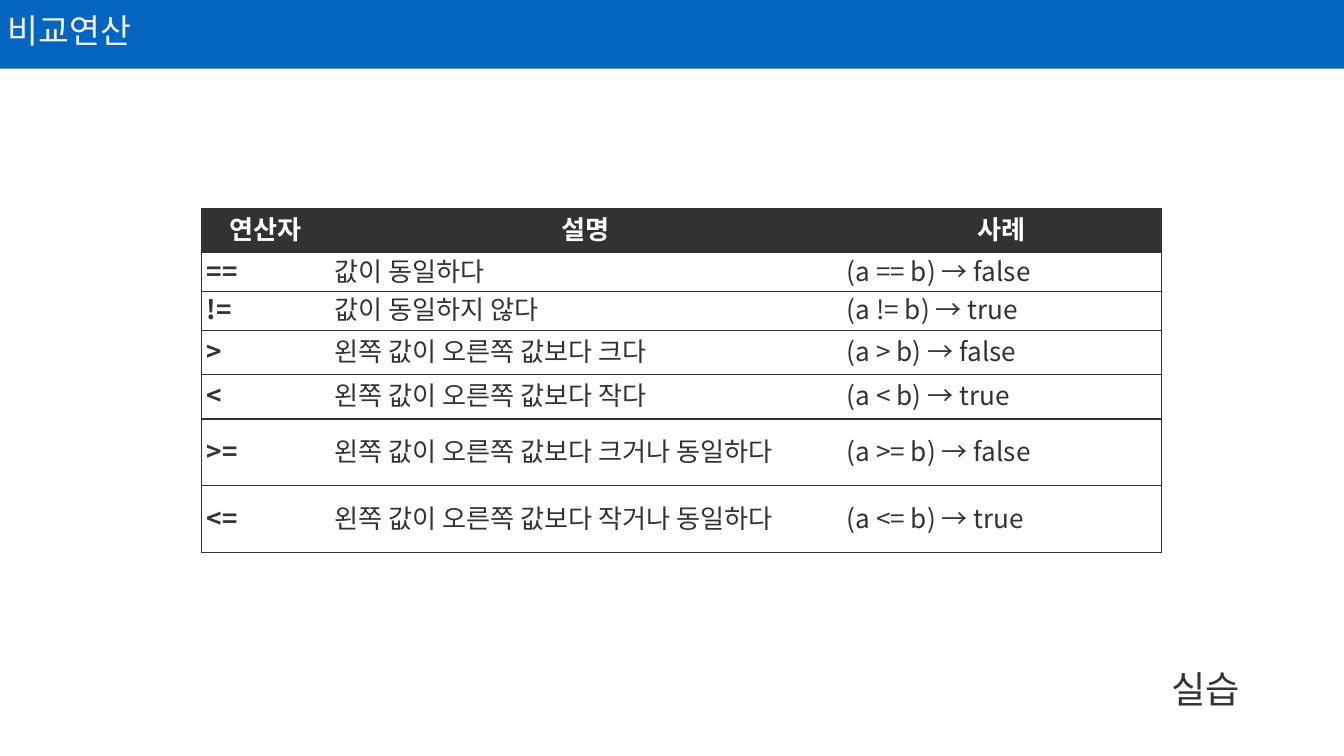
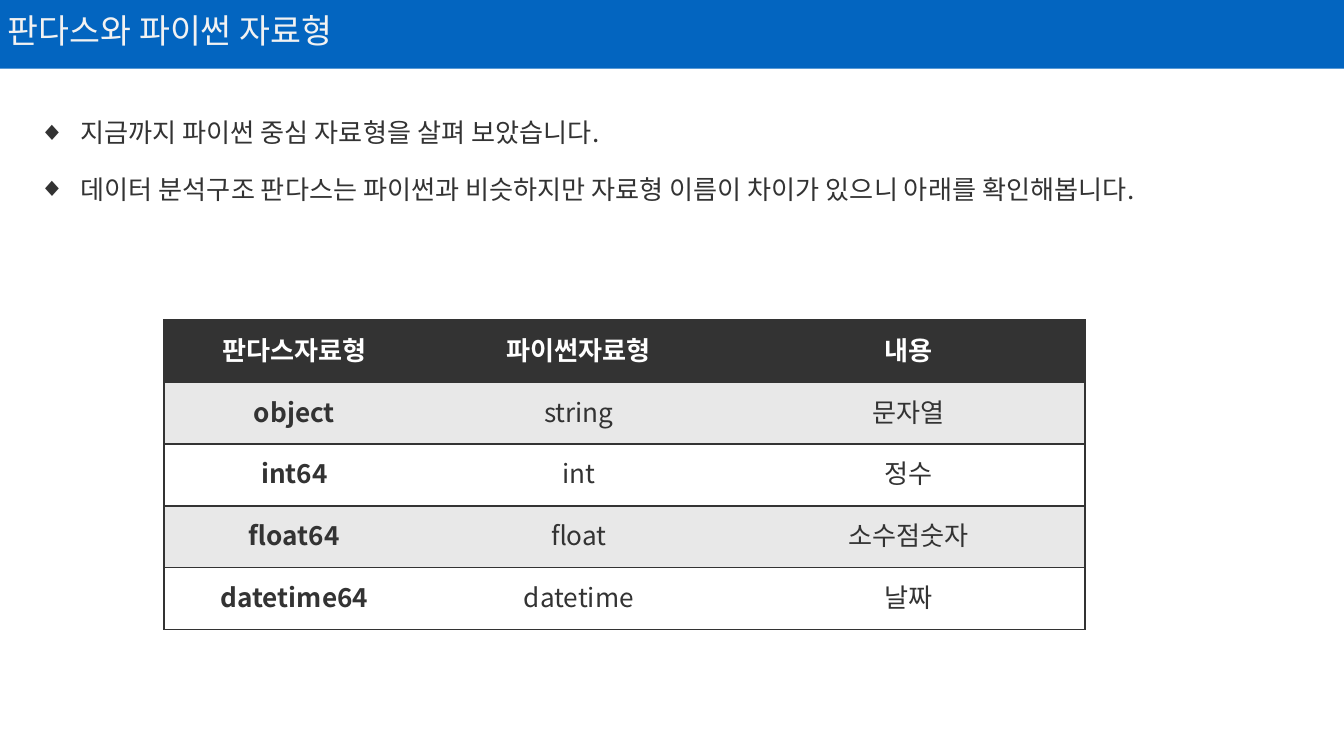
"""Build two slides on comparison operators and data types."""
from dataclasses import dataclass
from typing import Optional

from lxml import etree
from pptx import Presentation
from pptx.dml.color import RGBColor
from pptx.enum import shapes, text
from pptx.oxml.ns import qn
from pptx.util import Cm, Pt

ALIGN = text.PP_ALIGN


@dataclass(frozen=True)
class Theme:
    """Colours, font and type sizes of the deck."""
    font: str = "Noto Sans CJK KR"
    band: str = "0365C0"
    title: str = "F2F2F2"
    ink: str = "333333"
    header: str = "323232"
    white: str = "FFFFFF"
    stripe: str = "E8E8E8"
    title_size: float = 18
    body_size: float = 14
    note_size: float = 20


THEME = Theme()


@dataclass(frozen=True)
class Area:
    """A place on the page, in centimetres."""
    left: float
    top: float
    width: float
    height: float

    def lengths(self) -> tuple:
        """Return left, top, width and height as lengths."""
        return Cm(self.left), Cm(self.top), Cm(self.width), Cm(self.height)


@dataclass(frozen=True)
class Grid:
    """A table with a header row; sizes in centimetres, line in points."""
    left: float
    top: float
    columns: tuple
    heights: tuple
    rows: tuple
    align: ALIGN
    line: float
    line_color: str
    margin: float
    stripe: Optional[str] = None


PAGE_WIDTH, PAGE_HEIGHT = 25.4, 14.29
BAND = Area(0, 0, PAGE_WIDTH, 1.3)
TITLE = Area(0, 0.25, 14.38, 0.79)
BULLETS = Area(0.48, 1.78, 23.52, 2.11)
NOTE = Area(21.89, 12.04, 1.93, 1.37)
BULLET_INDENT = Cm(0.79)

OPERATORS = Grid(
    left=3.81, top=3.94, columns=(2.41, 9.68, 6.05),
    heights=(0.84, 0.73, 0.73, 0.84, 0.84, 1.26, 1.26),
    rows=(
        ("연산자", "설명", "사례"),
        ("==", "값이 동일하다", "(a == b) → false"),
        ("!=", "값이 동일하지 않다", "(a != b) → true"),
        (">", "왼쪽 값이 오른쪽 값보다 크다", "(a > b) → false"),
        ("<", "왼쪽 값이 오른쪽 값보다 작다", "(a < b) → true"),
        (">=", "왼쪽 값이 오른쪽 값보다 크거나 동일하다", "(a >= b) → false"),
        ("<=", "왼쪽 값이 오른쪽 값보다 작거나 동일하다", "(a <= b) → true"),
    ),
    align=ALIGN.JUSTIFY, line=0.75, line_color=THEME.header, margin=0.1)

DATA_TYPES = Grid(
    left=3.1, top=6.05, columns=(4.93, 5.82, 6.65), heights=(1.17,) * 5,
    rows=(
        ("판다스자료형", "파이썬자료형", "내용"),
        ("object", "string", "문자열"),
        ("int64", "int", "정수"),
        ("float64", "float", "소수점숫자"),
        ("datetime64", "datetime", "날짜"),
    ),
    align=ALIGN.CENTER, line=1, line_color=THEME.ink, margin=0.13,
    stripe=THEME.stripe)


def place(shape, area: Area) -> None:
    """Move and size a shape."""
    shape.left, shape.top, shape.width, shape.height = area.lengths()


def style_paragraph(para, size: float, color: str, align: ALIGN,
                    spacing: float, bold: bool = False) -> None:
    """Set font and layout of a whole paragraph."""
    para.alignment = align
    para.line_spacing = spacing
    font = para.font
    font.name, font.size, font.bold = THEME.font, Pt(size), bold
    font.color.rgb = RGBColor.from_string(color)
    defaults = para._p.pPr.find(qn("a:defRPr"))
    etree.SubElement(defaults, qn("a:ea"), typeface=THEME.font)


def add_bullet(para) -> None:
    """Give a paragraph a diamond bullet with a hanging indent."""
    props = para._p.pPr
    props.set("marL", str(BULLET_INDENT))
    props.set("indent", str(-BULLET_INDENT))
    bullet = etree.Element(qn("a:buChar"), char="◆")
    props.find(qn("a:defRPr")).addprevious(bullet)


def set_borders(cell, edges: str, width: float, color: str) -> None:
    """Draw the named cell edges (of L, R, T, B) and clear the others."""
    props = cell._tc.get_or_add_tcPr()
    for edge in "LRTB":
        line = etree.SubElement(props, qn(f"a:ln{edge}"), w=str(Pt(width)))
        if edge in edges:
            fill = etree.SubElement(line, qn("a:solidFill"))
            etree.SubElement(fill, qn("a:srgbClr"), val=color)
        else:
            etree.SubElement(line, qn("a:noFill"))


def fill_cell(cell, grid: Grid, row: int, column: int) -> None:
    """Write and format one table cell."""
    header = row == 0
    cell.text = grid.rows[row][column]
    cell.vertical_anchor = text.MSO_ANCHOR.MIDDLE
    cell.margin_left = cell.margin_right = Cm(grid.margin)
    cell.margin_top = cell.margin_bottom = 0
    style_paragraph(cell.text_frame.paragraphs[0], THEME.body_size,
                    THEME.white if header else THEME.ink,
                    ALIGN.CENTER if header else grid.align, 0.8,
                    bold=header or column == 0)

    edges = "TB"
    if column == 0:
        edges += "L"
    if column == len(grid.columns) - 1:
        edges += "R"
    set_borders(cell, edges, grid.line, grid.line_color)

    cell.fill.solid()
    if header:
        color = grid.line_color
    else:
        color = grid.stripe if grid.stripe and row % 2 else THEME.white
    cell.fill.fore_color.rgb = RGBColor.from_string(color)


def add_grid(page, grid: Grid) -> None:
    """Add a table to a page."""
    area = Area(grid.left, grid.top, sum(grid.columns), sum(grid.heights))
    table = page.shapes.add_table(len(grid.rows), len(grid.columns),
                                  *area.lengths()).table
    table.horz_banding = False
    for column, width in zip(table.columns, grid.columns):
        column.width = Cm(width)
    for row, height in zip(table.rows, grid.heights):
        row.height = Cm(height)
    for row in range(len(grid.rows)):
        for column in range(len(grid.columns)):
            fill_cell(table.cell(row, column), grid, row, column)


def add_page(deck, layout: str, title: str):
    """Add a page with its title and return it."""
    page = deck.slides.add_slide(deck.slide_layouts.get_by_name(layout))
    box = page.shapes.title
    place(box, TITLE)
    frame = box.text_frame
    frame.text = title
    frame.auto_size = text.MSO_AUTO_SIZE.NONE
    frame.vertical_anchor = text.MSO_ANCHOR.MIDDLE
    frame.margin_left = frame.margin_right = Cm(0.15)
    frame.margin_top = frame.margin_bottom = Cm(0.15)
    style_paragraph(frame.paragraphs[0], THEME.title_size, THEME.title,
                    ALIGN.LEFT, 0.8)
    return page


def add_master_band(deck, page) -> None:
    """Draw the title band and move it to the back of the slide master."""
    band = page.shapes.add_shape(shapes.MSO_SHAPE.RECTANGLE, *BAND.lengths())
    band.shadow.inherit = False
    band.fill.solid()
    band.fill.fore_color.rgb = RGBColor.from_string(THEME.band)
    band.line.fill.background()
    deck.slide_master.shapes.element.insert(2, band.element)


def add_note(page, words: str) -> None:
    """Add the short remark at the lower right."""
    frame = page.shapes.add_textbox(*NOTE.lengths()).text_frame
    frame.text = words
    frame.word_wrap = False
    frame.auto_size = text.MSO_AUTO_SIZE.SHAPE_TO_FIT_TEXT
    para = frame.paragraphs[0]
    style_paragraph(para, THEME.note_size, THEME.ink, ALIGN.JUSTIFY, 1.5)
    para.space_before = Pt(5)


def fill_bullets(page, lines: tuple) -> None:
    """Write the bullet list into the body placeholder."""
    box = page.placeholders[1]
    place(box, BULLETS)
    frame = box.text_frame
    frame.text = "\n".join(lines)
    frame.word_wrap = True
    frame.auto_size = text.MSO_AUTO_SIZE.SHAPE_TO_FIT_TEXT
    for para in frame.paragraphs:
        style_paragraph(para, THEME.body_size, THEME.ink, ALIGN.JUSTIFY, 1.5)
        para.space_before = Pt(5)
        add_bullet(para)


def main() -> None:
    """Build and save the deck."""
    deck = Presentation()
    deck.slide_width, deck.slide_height = Cm(PAGE_WIDTH), Cm(PAGE_HEIGHT)

    page = add_page(deck, "Title Only", "비교연산")
    add_master_band(deck, page)
    add_grid(page, OPERATORS)
    add_note(page, "실습")

    page = add_page(deck, "Title and Content", "판다스와 파이썬 자료형")
    fill_bullets(page, (
        "지금까지 파이썬 중심 자료형을 살펴 보았습니다.",
        "데이터 분석구조 판다스는 파이썬과 비슷하지만 자료형 이름이 "
        "차이가 있으니 아래를 확인해봅니다.",
    ))
    add_grid(page, DATA_TYPES)

    deck.save("out.pptx")


main()
